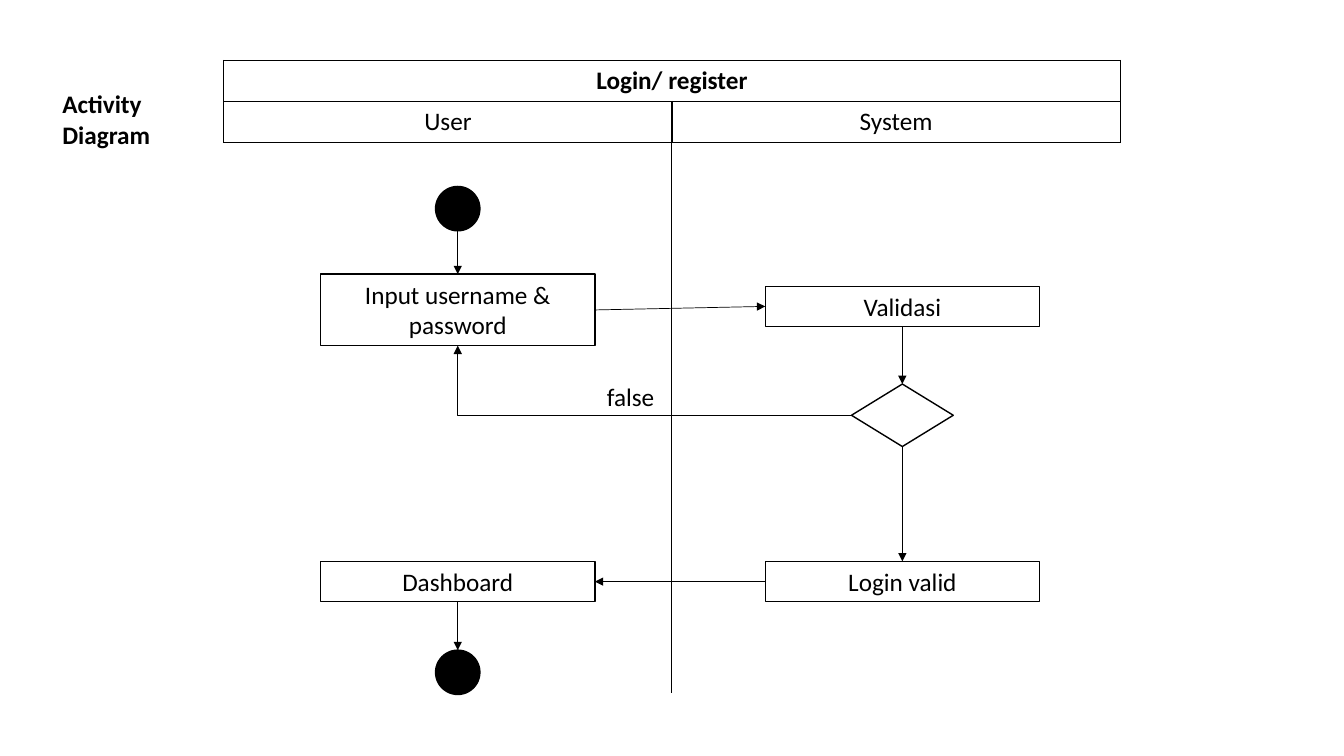
from dataclasses import dataclass

from lxml import etree
from pptx import Presentation
from pptx.dml.color import RGBColor
from pptx.enum.shapes import MSO_CONNECTOR, MSO_SHAPE
from pptx.enum.text import MSO_ANCHOR, PP_ALIGN
from pptx.oxml.ns import qn
from pptx.shapes.autoshape import Shape
from pptx.shapes.connector import Connector
from pptx.table import _Cell
from pptx.text.text import TextFrame
from pptx.util import Inches, Pt

BLACK = RGBColor(0, 0, 0)
WHITE = RGBColor(255, 255, 255)
OVAL, BOX, DIAMOND = MSO_SHAPE.OVAL, MSO_SHAPE.RECTANGLE, MSO_SHAPE.DIAMOND
STRAIGHT, ELBOW = MSO_CONNECTOR.STRAIGHT, MSO_CONNECTOR.ELBOW
LEFT, CENTER = PP_ALIGN.LEFT, PP_ALIGN.CENTER
TOP_ANCHOR, MIDDLE = MSO_ANCHOR.TOP, MSO_ANCHOR.MIDDLE
TOP_SITE, LEFT_SITE, BOTTOM_SITE, RIGHT_SITE = range(4)
USER_X, SYSTEM_X, DIVIDER_X = 4.54, 8.95, 6.66
BOX_WIDTH, BOX_HEIGHT, DOT_SIZE = 2.72, 0.4, 0.44


@dataclass(frozen=True)
class Node:
    name: str
    kind: MSO_SHAPE
    center_x: float
    top: float
    width: float = BOX_WIDTH
    height: float = BOX_HEIGHT
    text: str = ""
    fill: RGBColor = WHITE


@dataclass(frozen=True)
class Flow:
    source: str
    source_site: int
    target: str
    target_site: int
    route: MSO_CONNECTOR = STRAIGHT


NODES = [
    Node("start", OVAL, USER_X, 1.85, DOT_SIZE, DOT_SIZE, fill=BLACK),
    Node("input", BOX, USER_X, 2.72, height=0.71, text="Input username & password"),
    Node("validate", BOX, SYSTEM_X, 2.84, text="Validasi"),
    Node("decision", DIAMOND, SYSTEM_X, 3.81, 1.01, 0.62),
    Node("valid", BOX, SYSTEM_X, 5.57, text="Login valid"),
    Node("dashboard", BOX, USER_X, 5.57, text="Dashboard"),
    Node("end", OVAL, USER_X, 6.45, DOT_SIZE, DOT_SIZE, fill=BLACK),
]
FLOWS = [
    Flow("start", BOTTOM_SITE, "input", TOP_SITE),
    Flow("input", RIGHT_SITE, "validate", LEFT_SITE),
    Flow("validate", BOTTOM_SITE, "decision", TOP_SITE),
    Flow("decision", BOTTOM_SITE, "valid", TOP_SITE),
    Flow("decision", LEFT_SITE, "input", BOTTOM_SITE, ELBOW),
    Flow("valid", LEFT_SITE, "dashboard", RIGHT_SITE),
    Flow("dashboard", BOTTOM_SITE, "end", TOP_SITE),
]

prs = Presentation()
prs.slide_width, prs.slide_height = Inches(13.33), Inches(7.5)
slide = prs.slides.add_slide(prs.slide_layouts[6])


def write(frame: TextFrame, text: str, *, align: PP_ALIGN = LEFT,
          anchor: MSO_ANCHOR = TOP_ANCHOR, bold: bool = False) -> None:
    frame.word_wrap = True
    frame.vertical_anchor = anchor
    frame.text = text
    for paragraph in frame.paragraphs:
        paragraph.alignment = align
        font = paragraph.font
        for run in paragraph.runs:
            font = run.font
            font.name, font.size, font.bold = "Calibri", Pt(18), bold
            font.color.rgb = BLACK


def add_label(text: str, left: float, top: float, width: float, height: float,
              bold: bool = False) -> None:
    label = slide.shapes.add_textbox(Inches(left), Inches(top), Inches(width), Inches(height))
    write(label.text_frame, text, bold=bold)


def outline_cell(cell: _Cell) -> None:
    cell.fill.background()
    properties = cell._tc.get_or_add_tcPr()
    for position, side in enumerate(("lnL", "lnR", "lnT", "lnB")):
        border = etree.Element(qn(f"a:{side}"), w=str(Pt(1)))
        solid = etree.SubElement(border, qn("a:solidFill"))
        etree.SubElement(solid, qn("a:srgbClr"), val=str(BLACK))
        properties.insert(position, border)


def add_swimlane_header() -> None:
    header = slide.shapes.add_table(
        2, 2, Inches(2.22), Inches(0.6), Inches(8.89), Inches(0.81)).table
    header.first_row = header.horz_banding = False
    for cell in header.iter_cells():
        outline_cell(cell)
    header.cell(0, 0).merge(header.cell(0, 1))
    write(header.cell(0, 0).text_frame, "Login/ register", align=CENTER, bold=True)
    for column, lane in enumerate(("User", "System")):
        write(header.cell(1, column).text_frame, lane, align=CENTER, anchor=MIDDLE)


def add_node(node: Node) -> Shape:
    shape = slide.shapes.add_shape(
        node.kind, Inches(node.center_x - node.width / 2), Inches(node.top),
        Inches(node.width), Inches(node.height))
    shape.shadow.inherit = False
    shape.fill.solid()
    shape.fill.fore_color.rgb = node.fill
    shape.line.color.rgb = BLACK
    shape.line.width = Pt(1)
    if node.text:
        write(shape.text_frame, node.text, align=CENTER)
    return shape


def style_line(line: Connector) -> None:
    line.line.color.rgb = BLACK
    line.line.width = Pt(0.5)
    etree.SubElement(line._element.spPr, qn("a:effectLst"))


def add_flow(flow: Flow, shapes: dict[str, Shape]) -> None:
    source, target = shapes[flow.source], shapes[flow.target]
    start_x, start_y = source.left + source.width // 2, source.top + source.height
    arrow = slide.shapes.add_connector(flow.route, start_x, start_y, start_x, start_y)
    if source.auto_shape_type != OVAL:
        arrow.begin_connect(source, flow.source_site)
    arrow.end_connect(target, flow.target_site)
    style_line(arrow)
    etree.SubElement(arrow.line._get_or_add_ln(), qn("a:tailEnd"), type="triangle")
    if flow.route == ELBOW:
        arrow._element.spPr.find(qn("a:prstGeom")).set("prst", "bentConnector2")


add_swimlane_header()
node_shapes = {node.name: add_node(node) for node in NODES}
lane_divider = slide.shapes.add_connector(
    STRAIGHT, Inches(DIVIDER_X), Inches(1.38), Inches(DIVIDER_X), Inches(6.88))
style_line(lane_divider)
for flow in FLOWS:
    add_flow(flow, node_shapes)
add_label("Activity\nDiagram", 0.52, 0.83, 2, 0.71, bold=True)
add_label("false", 5.92, 3.73, 0.89, 0.4)

prs.save("out.pptx")
